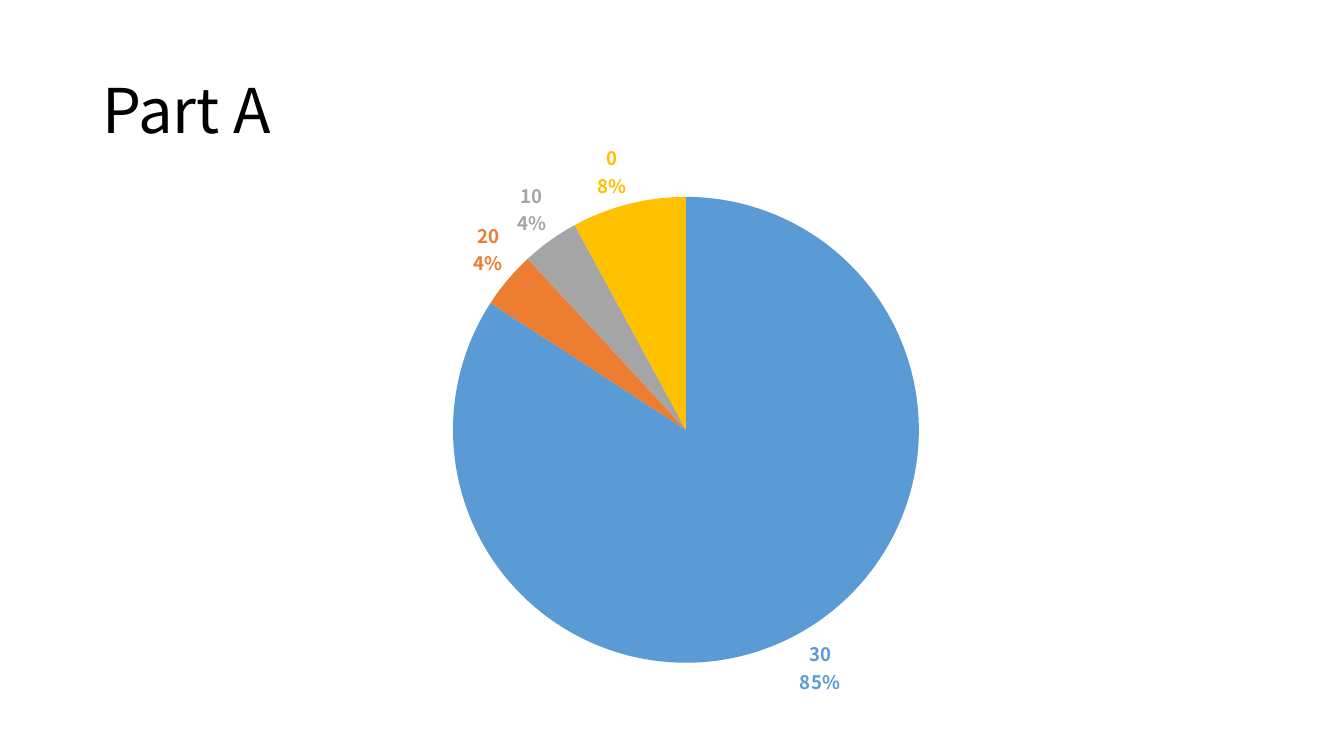
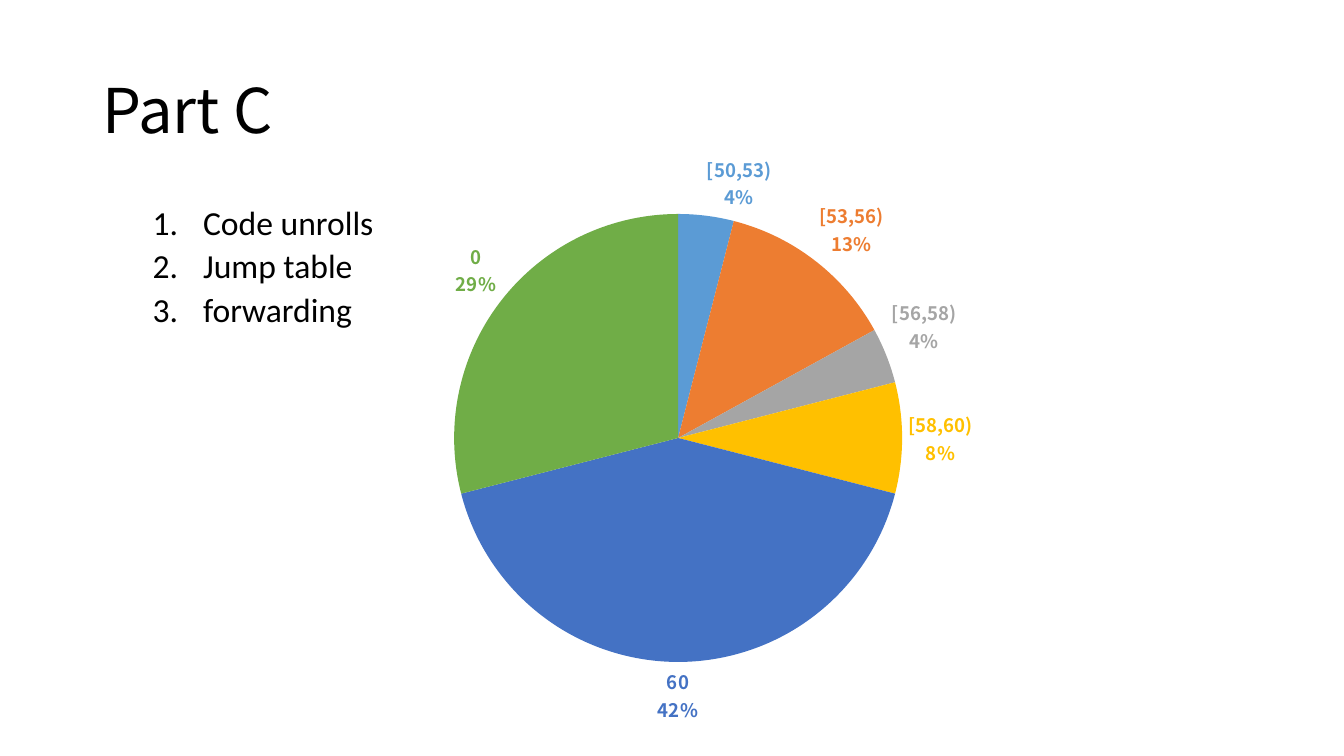
from copy import deepcopy

from lxml import etree
from pptx import Presentation
from pptx.chart import data
from pptx.dml.color import RGBColor
from pptx.enum import chart as kinds, text
from pptx.oxml.ns import qn
from pptx.util import Pt

BLACK = RGBColor(0x00, 0x00, 0x00)
BLUE = RGBColor(0x5B, 0x9B, 0xD5)
ORANGE = RGBColor(0xED, 0x7D, 0x31)
GRAY = RGBColor(0xA5, 0xA5, 0xA5)
GOLD = RGBColor(0xFF, 0xC0, 0x00)
NAVY = RGBColor(0x44, 0x72, 0xC4)
GREEN = RGBColor(0x70, 0xAD, 0x47)
SLICE_COLOURS = (BLUE, ORANGE, GRAY, GOLD, NAVY, GREEN)
HEAD_FONT = "Noto Sans CJK SC"
BODY_FONT = "Calibri"
PERCENT = '0"%"'
LEFT, WIDTH = Pt(66), Pt(828)
PIE_WIDTH, PIE_HEIGHT = Pt(640), Pt(427)

PART_A = (("30", 85), ("20", 4), ("10", 4), ("0", 8))
PART_C = (("[50,53)", 4), ("[53,56)", 13), ("[56,58)", 4),
          ("[58,60)", 8), ("60", 42), ("0", 29))
TECHNIQUES = ("Code unrolls", "Jump table", "forwarding")


def style_font(font, name, size, colour, bold=False):
    """Set the face, size, colour and weight of a font."""
    font.name, font.size, font.bold = name, Pt(size), bold
    font.color.rgb = colour


def add_lines(slide, top, height, lines, name, size, anchor):
    """Add one paragraph per line and return the paragraphs."""
    frame = slide.shapes.add_textbox(LEFT, top, WIDTH, height).text_frame
    frame.word_wrap = True
    frame.vertical_anchor = anchor
    for index, line in enumerate(lines):
        paragraph = frame.add_paragraph() if index else frame.paragraphs[0]
        paragraph.line_spacing = 0.9
        run = paragraph.add_run()
        run.text = line
        style_font(run.font, name, size, BLACK)
    return frame.paragraphs


def add_titled_slide(deck, title):
    """Add a blank slide with the shared title style."""
    slide = deck.slides.add_slide(deck.slide_layouts[6])
    add_lines(slide, Pt(28.8), Pt(104.4), [title], HEAD_FONT, 44,
              text.MSO_ANCHOR.MIDDLE)
    return slide


def add_numbered_list(slide, items):
    """Add an automatically numbered list below the title."""
    for paragraph in add_lines(slide, Pt(144), Pt(342.7), items, BODY_FONT,
                               24, text.MSO_ANCHOR.TOP):
        paragraph.space_before = Pt(5)
        properties = paragraph._p.get_or_add_pPr()
        properties.set("marL", str(Pt(72)))
        properties.set("indent", str(-Pt(36)))
        numbering = etree.SubElement(properties, qn("a:buAutoNum"))
        numbering.set("type", "arabicPeriod")


def place_plot(space, x, y, w, h):
    """Fix the plot area as fractions of the chart."""
    plot_area = space.find(".//" + qn("c:plotArea"))
    for automatic in plot_area.findall(qn("c:layout")):
        plot_area.remove(automatic)
    layout = etree.Element(qn("c:layout"))
    manual = etree.SubElement(layout, qn("c:manualLayout"))
    settings = (("layoutTarget", "inner"), ("xMode", "edge"),
                ("yMode", "edge"), ("x", x), ("y", y), ("w", w), ("h", h))
    for tag, value in settings:
        etree.SubElement(manual, qn("c:" + tag)).set("val", str(value))
    plot_area.insert(0, layout)


def complete_labels(space):
    """Give every label its category on a line above the percentage."""
    number_format = space.find(".//" + qn("c:dLbls") + "/" + qn("c:numFmt"))
    for label in space.iter(qn("c:dLbl")):
        label.insert(1, deepcopy(number_format))
    for flag in space.iter(qn("c:showCatName")):
        flag.set("val", "1")
    for last_flag in list(space.iter(qn("c:showBubbleSize"))):
        separator = etree.Element(qn("c:separator"))
        separator.text = "\n"
        last_flag.addnext(separator)


def add_pie(slide, left, top, shares, plot):
    """Add a pie whose labels take the colours of their slices."""
    scores = data.CategoryChartData()
    scores.categories = [score for score, _ in shares]
    scores.add_series("Series 1", [share for _, share in shares])
    pie = slide.shapes.add_chart(kinds.XL_CHART_TYPE.PIE, left, top,
                                 PIE_WIDTH, PIE_HEIGHT, scores).chart
    pie.has_legend = pie.has_title = False
    style_font(pie.font, HEAD_FONT, 10, BLACK)
    pie.plots[0].vary_by_categories = True
    series = pie.plots[0].series[0]
    labels = series.data_labels
    labels.show_value = labels.show_category_name = True
    labels.number_format, labels.number_format_is_linked = PERCENT, False
    labels.position = kinds.XL_LABEL_POSITION.OUTSIDE_END
    for index, colour in zip(range(len(shares)), SLICE_COLOURS):
        point = series.points[index]
        point.format.fill.solid()
        point.format.fill.fore_color.rgb = colour
        point.format.line.fill.background()
        style_font(point.data_label.font, HEAD_FONT, 13.3, colour, True)
        point.data_label.position = kinds.XL_LABEL_POSITION.OUTSIDE_END
    complete_labels(pie._chartSpace)
    place_plot(pie._chartSpace, *plot)


def main():
    """Build both slides and save the deck."""
    deck = Presentation()
    deck.slide_width, deck.slide_height = Pt(960), Pt(540)

    part_a = add_titled_slide(deck, "Part A")
    add_pie(part_a, Pt(170), Pt(89.3), PART_A, (0.24, 0.12, 0.52, 0.78))

    part_c = add_titled_slide(deck, "Part C")
    add_numbered_list(part_c, TECHNIQUES)
    add_pie(part_c, Pt(183.6), Pt(101.5), PART_C, (0.22, 0.12, 0.5, 0.75))

    deck.save("out.pptx")


main()
